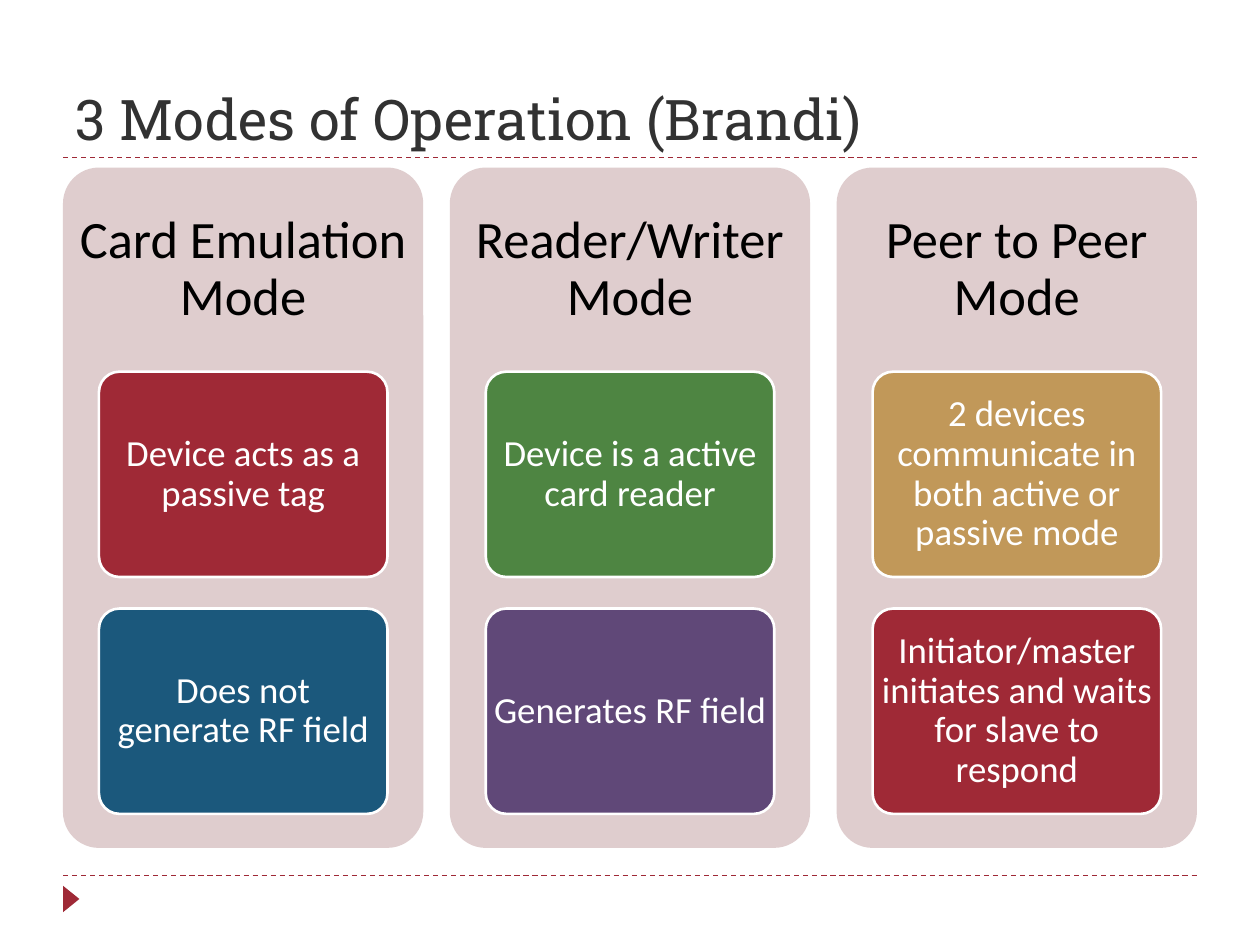
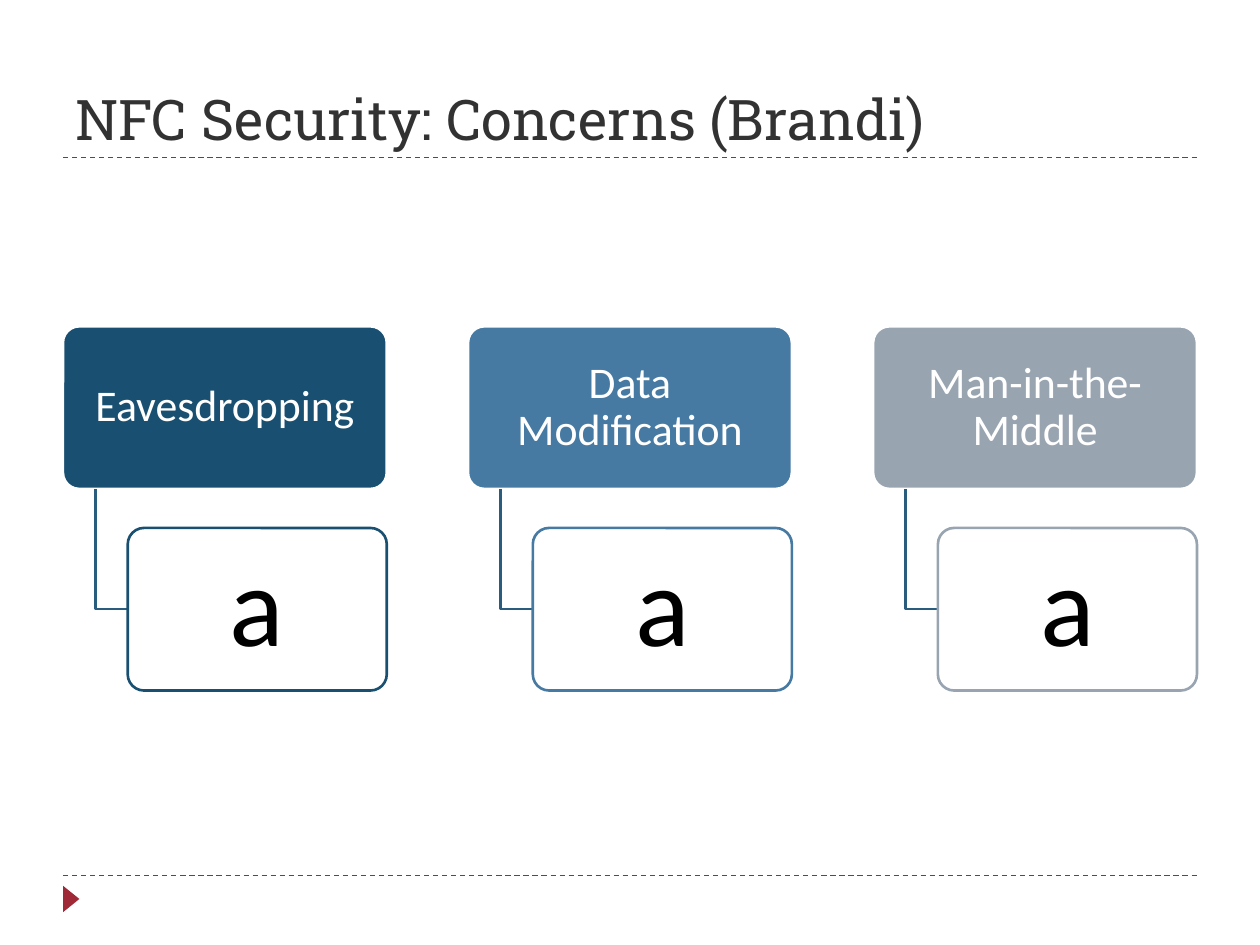
from lxml import etree
from pptx import Presentation
from pptx import util as u
from pptx.dml.color import RGBColor
from pptx.enum import dml, shapes, text
from pptx.oxml.ns import qn

# Content
MODES_TITLE = "3 Modes of Operation (Brandi)"
MODES = [
    ("Card Emulation Mode", [("Device acts as a passive tag", "9F2936"),
                             ("Does not generate RF field", "1B587C")]),
    ("Reader/Writer Mode", [("Device is a active card reader", "4E8542"),
                            ("Generates RF field", "604878")]),
    ("Peer to Peer Mode", [
        ("2 devices communicate in both active or passive mode", "C19859"),
        ("Initiator/master initiates and waits for slave to respond", "9F2936")]),
]
CONCERNS_TITLE = "NFC Security: Concerns (Brandi)"
CONCERNS = [("Eavesdropping", "a", "195071"),
            ("Data Modification", "a", "477AA2"),
            ("Man-in-the-Middle", "a", "99A4B1")]

# Shared style
RED, INK, BLACK, WHITE = "9F2936", "323232", "000000", "FFFFFF"
PANEL, ELBOW = "DFCDCE", "2A5C7E"
TITLE_FONT, BODY_FONT = "Roboto Slab", "Calibri"
LEFT, RIGHT = 0.5, 9.5
CORNER = 0.1


def rgb(value):
    return RGBColor.from_string(value)


def write(sp, words, size, color=WHITE, font=BODY_FONT, inset=(0.1, 0.05),
          align=text.PP_ALIGN.CENTER, anchor=text.MSO_ANCHOR.MIDDLE, spacing=0.9):
    tf = sp.text_frame
    tf.word_wrap = True
    tf.vertical_anchor = anchor
    tf.margin_left = tf.margin_right = u.Inches(inset[0])
    tf.margin_top = tf.margin_bottom = u.Inches(inset[1])
    p = tf.paragraphs[0]
    p.alignment, p.line_spacing = align, spacing
    r = p.add_run()
    r.text = words
    r.font.name, r.font.size = font, u.Pt(size)
    r.font.color.rgb = rgb(color)


def text_box(s, box, words, size, **fmt):
    write(s.shapes.add_textbox(*map(u.Inches, box)), words, size, **fmt)


def shape(s, kind, box, fill, line=None):
    sp = s.shapes.add_shape(kind, *map(u.Inches, box))
    sp.shadow.inherit = False
    sp.fill.solid()
    sp.fill.fore_color.rgb = rgb(fill)
    if line:
        sp.line.color.rgb, sp.line.width = rgb(line), u.Pt(1.5)
    else:
        sp.line.fill.background()
    return sp


def card(s, box, fill, line=None, words="", size=0, inset=(0, 0), **fmt):
    sp = shape(s, shapes.MSO_SHAPE.ROUNDED_RECTANGLE, box, fill, line)
    sp.adjustments[0] = CORNER
    if words:
        # A rounded rectangle already insets its text by 0.29 of the radius
        built_in = 0.29 * CORNER * min(box[2:])
        write(sp, words, size, inset=[max(0, i - built_in) for i in inset], **fmt)
    return sp


def dashed_rule(s, y):
    c = s.shapes.add_connector(shapes.MSO_CONNECTOR.STRAIGHT, u.Inches(LEFT),
                               u.Inches(y), u.Inches(RIGHT), u.Inches(y))
    c.line.color.rgb, c.line.width = rgb(RED), u.Pt(0.75)
    c.line.dash_style = dml.MSO_LINE.DASH
    etree.SubElement(c.element.spPr, qn("a:effectLst"))


def elbow(s, x, top, corner_y, right):
    builder = s.shapes.build_freeform(u.Inches(x), u.Inches(top))
    builder.add_line_segments([(u.Inches(x), u.Inches(corner_y)),
                               (u.Inches(right), u.Inches(corner_y))], close=False)
    sp = builder.convert_to_shape()
    sp.shadow.inherit = False
    sp.fill.background()
    sp.line.color.rgb, sp.line.width = rgb(ELBOW), u.Pt(1.5)


def columns(items, width):
    """Pair each item with its left edge, spread evenly between the margins."""
    pitch = (RIGHT - LEFT - width) / (len(items) - 1)
    return [(LEFT + i * pitch, item) for i, item in enumerate(items)]


def new_slide(prs, title):
    s = prs.slides.add_slide(prs.slide_layouts[6])
    dashed_rule(s, 6.95)
    dashed_rule(s, 1.25)
    marker = shape(s, shapes.MSO_SHAPE.ISOSCELES_TRIANGLE, (0.46, 7.07, 0.21, 0.13), RED)
    marker.rotation = 90
    text_box(s, (LEFT, 0.17, RIGHT - LEFT, 1.08), title, 32, color=INK,
             font=TITLE_FONT, align=text.PP_ALIGN.LEFT,
             anchor=text.MSO_ANCHOR.BOTTOM, spacing=1.0)
    return s


prs = Presentation()
prs.slide_width, prs.slide_height = u.Inches(10), u.Inches(7.5)

# Slide 1: one panel per mode, two cards in each
s = new_slide(prs, MODES_TITLE)
PANEL_W, CARD_W = 2.86, 2.29
for x, (heading, cards) in columns(MODES, PANEL_W):
    card(s, (x, 1.33, PANEL_W, 5.4), PANEL)
    text_box(s, (x, 1.33, PANEL_W, 1.62), heading, 30, color=BLACK, inset=(0.12, 0.12))
    for row, (words, fill) in enumerate(cards):
        box = (x + (PANEL_W - CARD_W) / 2, 2.95 + row * 1.88, CARD_W, 1.63)
        card(s, box, fill, WHITE, words, 21, inset=(0.06, 0.04))

# Slide 2: one heading per concern, with a detail card hanging from it
s = new_slide(prs, CONCERNS_TITLE)
HEAD_W, HEAD_TOP, BOX_H, DETAIL_TOP = 2.57, 2.59, 1.29, 4.19
for x, (heading, detail, color) in columns(CONCERNS, HEAD_W):
    step = HEAD_W / 10
    detail_x = x + 2 * step
    card(s, (x, HEAD_TOP, HEAD_W, BOX_H), color, WHITE, heading, 25, inset=(0.05, 0.03))
    elbow(s, x + step, HEAD_TOP + BOX_H, DETAIL_TOP + BOX_H / 2, detail_x)
    sp = card(s, (detail_x, DETAIL_TOP, 0.8 * HEAD_W, BOX_H), WHITE, color,
              detail, 65, inset=(0.14, 0.09), color=BLACK)
    fill = sp.element.spPr.find(qn("a:solidFill"))
    etree.SubElement(fill[0], qn("a:alpha"), val="90000")

prs.save("out.pptx")
